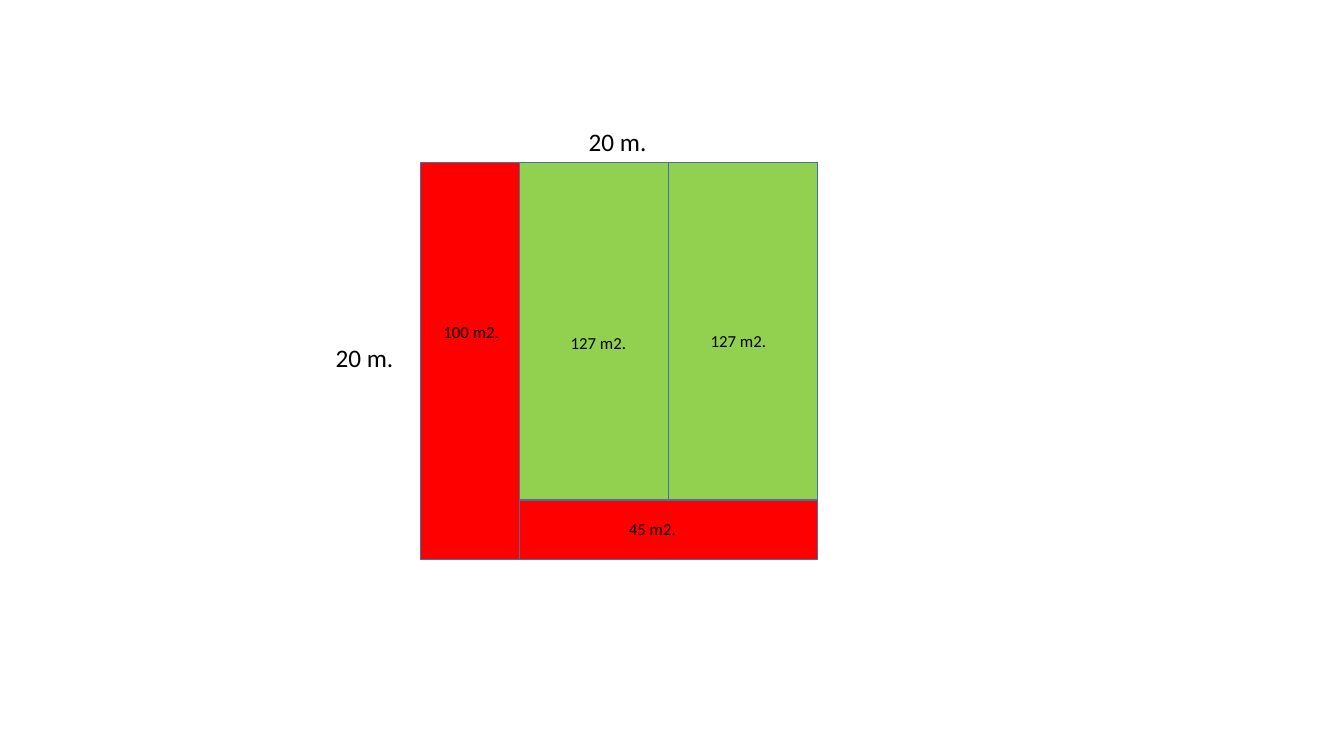
"""Draw a plot of 20 by 20 metres split into areas."""
from pptx import Presentation
from pptx.dml.color import RGBColor
from pptx.enum.shapes import MSO_SHAPE
from pptx.enum.text import MSO_AUTO_SIZE
from pptx.util import Inches, Pt

RECT = MSO_SHAPE.RECTANGLE
GROW = MSO_AUTO_SIZE.SHAPE_TO_FIT_TEXT
LEFT, TOP = 4.17, 1.61
SIDE = 20
METRE = 3.94 / SIDE
STRIP, DEPTH = 5, 3
WIDE, HIGH = SIDE - STRIP, SIDE - DEPTH
HALF = WIDE / 2
BLUE, RED, GREEN = "5B9BD5", "FF0000", "92D050"
EDGE, BLACK = "43739E", "000000"


def color(form, code):
    """Set a fill or font colour from a hex string."""
    form.rgb = RGBColor.from_string(code)


def place(x, y, w, h):
    """Turn metres on the plot into slide lengths."""
    return (Inches(LEFT + x * METRE), Inches(TOP + y * METRE),
            Inches(w * METRE), Inches(h * METRE))


def area(slide, x, y, w, h, fill):
    """Add one filled part of the plot."""
    shape = slide.shapes.add_shape(RECT, *place(x, y, w, h))
    shape.shadow.inherit = False
    shape.fill.solid()
    color(shape.fill.fore_color, fill)
    color(shape.line.color, EDGE)
    shape.line.width = Pt(1)


def label(slide, text, x, y, size, w=4.11):
    """Add a text label at a point of the plot."""
    box = slide.shapes.add_textbox(*place(x, y, w, size / 9 + 0.1))
    frame = box.text_frame
    frame.word_wrap = True
    frame.auto_size = GROW
    run = frame.paragraphs[0].add_run()
    run.text = text
    run.font.name = "Calibri"
    run.font.size = Pt(size)
    color(run.font.color, BLACK)


def main():
    """Build and save the slide."""
    deck = Presentation()
    deck.slide_width, deck.slide_height = Inches(13.33), Inches(7.5)
    slide = deck.slides.add_slide(deck.slide_layouts[6])
    for part in (
        (0, 0, SIDE, SIDE, BLUE),
        (0, 0, STRIP, SIDE, RED),
        (STRIP, HIGH, WIDE, DEPTH, RED),
        (STRIP + HALF, 0, HALF, HIGH, GREEN),
        (STRIP, 0, HALF, HIGH, GREEN),
    ):
        area(slide, *part)
    for note in (
        ("20 m.", -4.77, 8.83, 18),
        ("20 m.", 7.97, -2.08, 18),
        ("100 m2.", 0.66, 7.77, 12),
        ("45 m2.", 10, 17.72, 12, 6),
        ("127 m2.", 7.06, 8.32, 12),
        ("127 m2.", 14.11, 8.22, 12),
    ):
        label(slide, *note)
    deck.save("out.pptx")


if __name__ == "__main__":
    main()
